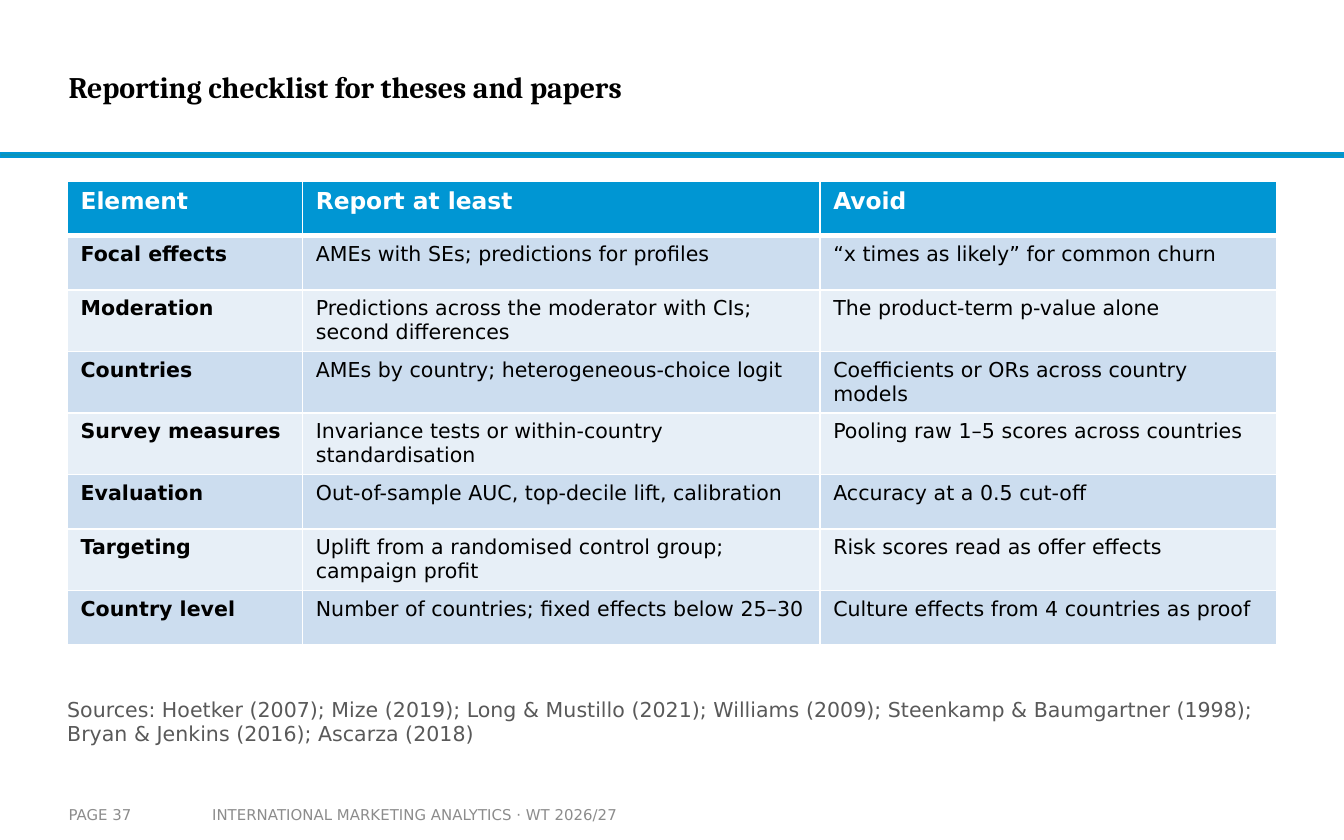
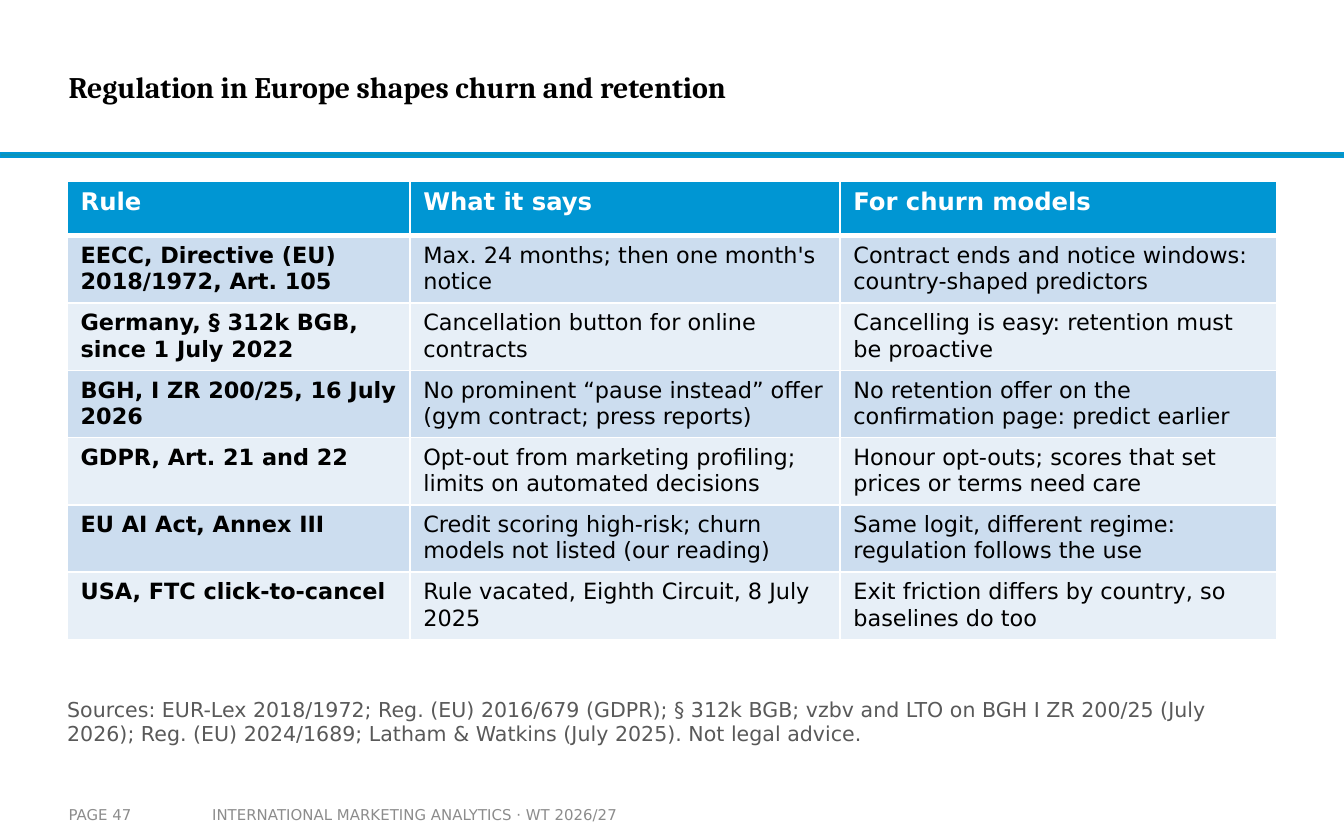
from dataclasses import dataclass

from lxml import etree
from pptx import Presentation
from pptx import util as u
from pptx.dml.color import RGBColor
from pptx.enum import shapes, text
from pptx.oxml.ns import qn

PX = u.Inches(1) // 100  # 100 px to the inch
SANS, SERIF = "DejaVu Sans", "Cambria"
WHITE, BLACK, ACCENT = "FFFFFF", "000000", "0096D3"
BAND_FILL, SOURCE_GREY, FOOTER_GREY = "0C94B7", "595959", "8C8C8C"
ROW_FILLS = ("CCDDEF", "E7EFF7")
COURSE = "INTERNATIONAL MARKETING ANALYTICS · WT 2026/27"


@dataclass(frozen=True)
class Style:
    size: float
    color: str
    face: str = SANS
    bold: bool = False


@dataclass(frozen=True)
class TextPart:
    box: tuple[int, int, int, int]
    style: Style
    anchor: text.MSO_ANCHOR
    side_margin: int = 0
    end_margin: int = 0


@dataclass(frozen=True)
class TableSlide:
    title: str
    page: int
    columns: tuple[int, ...]
    height: int
    header_size: float
    body_size: float
    rows: tuple[tuple[str, ...], ...]
    sources: str


TITLE = TextPart((51, 15, 748, 99), Style(16, BLACK, SERIF, True),
                 text.MSO_ANCHOR.MIDDLE)
COURSE_NAME = TextPart((148, 592, 352, 28), Style(8, FOOTER_GREY),
                       text.MSO_ANCHOR.MIDDLE, 10, 5)
PAGE = TextPart((51, 592, 98, 28), Style(8, FOOTER_GREY),
                text.MSO_ANCHOR.MIDDLE, 0, 5)
SOURCES = TextPart((50, 510, 900, 45), Style(11, SOURCE_GREY),
                   text.MSO_ANCHOR.BOTTOM)

SLIDES = (
    TableSlide(
        "Reporting checklist for theses and papers", 37,
        (175, 385, 340), 324, 12.5, 11,
        (
            ("Element", "Report at least", "Avoid"),
            ("Focal effects", "AMEs with SEs; predictions for profiles",
             "“x times as likely” for common churn"),
            ("Moderation",
             "Predictions across the moderator with CIs; second differences",
             "The product-term p-value alone"),
            ("Countries", "AMEs by country; heterogeneous-choice logit",
             "Coefficients or ORs across country models"),
            ("Survey measures",
             "Invariance tests or within-country standardisation",
             "Pooling raw 1–5 scores across countries"),
            ("Evaluation", "Out-of-sample AUC, top-decile lift, calibration",
             "Accuracy at a 0.5 cut-off"),
            ("Targeting",
             "Uplift from a randomised control group; campaign profit",
             "Risk scores read as offer effects"),
            ("Country level", "Number of countries; fixed effects below 25–30",
             "Culture effects from 4 countries as proof"),
        ),
        "Sources: Hoetker (2007); Mize (2019); Long & Mustillo (2021); "
        "Williams (2009); Steenkamp & Baumgartner (1998); "
        "Bryan & Jenkins (2016); Ascarza (2018)",
    ),
    TableSlide(
        "Regulation in Europe shapes churn and retention", 47,
        (255, 320, 325), 284, 13, 12,
        (
            ("Rule", "What it says", "For churn models"),
            ("EECC, Directive (EU) 2018/1972, Art. 105",
             "Max. 24 months; then one month's notice",
             "Contract ends and notice windows: country-shaped predictors"),
            ("Germany, § 312k BGB, since 1 July 2022",
             "Cancellation button for online contracts",
             "Cancelling is easy: retention must be proactive"),
            ("BGH, I ZR 200/25, 16 July 2026",
             "No prominent “pause instead” offer (gym contract; press reports)",
             "No retention offer on the confirmation page: predict earlier"),
            ("GDPR, Art. 21 and 22",
             "Opt-out from marketing profiling; limits on automated decisions",
             "Honour opt-outs; scores that set prices or terms need care"),
            ("EU AI Act, Annex III",
             "Credit scoring high-risk; churn models not listed (our reading)",
             "Same logit, different regime: regulation follows the use"),
            ("USA, FTC click-to-cancel",
             "Rule vacated, Eighth Circuit, 8 July 2025",
             "Exit friction differs by country, so baselines do too"),
        ),
        "Sources: EUR-Lex 2018/1972; Reg. (EU) 2016/679 (GDPR); § 312k BGB; "
        "vzbv and LTO on BGH I ZR 200/25 (July 2026); Reg. (EU) 2024/1689; "
        "Latham & Watkins (July 2025). Not legal advice.",
    ),
)


def px(*lengths: int) -> list[int]:
    return [length * PX for length in lengths]


def rgb(hex_color: str) -> RGBColor:
    return RGBColor.from_string(hex_color)


def apply(target, values: dict) -> None:
    for name, value in values.items():
        setattr(target, name, value)


def write(frame, words: str, style: Style) -> None:
    paragraph = frame.paragraphs[0]
    run = paragraph.add_run()
    run.text = words
    paragraph.alignment = text.PP_ALIGN.LEFT
    apply(run.font, {"name": style.face, "size": u.Pt(style.size),
                     "bold": style.bold})
    run.font.color.rgb = rgb(style.color)


def add_text(slide, part: TextPart, words: str) -> None:
    frame = slide.shapes.add_textbox(*px(*part.box)).text_frame
    side, end = px(part.side_margin, part.end_margin)
    apply(frame, {"word_wrap": True, "vertical_anchor": part.anchor,
                  "margin_left": side, "margin_right": side,
                  "margin_top": end, "margin_bottom": end})
    write(frame, words, part.style)


def add_band(slide) -> None:
    band = slide.shapes.add_shape(shapes.MSO_SHAPE.RECTANGLE,
                                  *px(0, 114, 1000, 3))
    band.shadow.inherit = False
    band.fill.solid()
    band.fill.fore_color.rgb = rgb(BAND_FILL)
    band.line.color.rgb = rgb(ACCENT)
    band.line.width = u.Pt(1)


def set_borders(cell, top: float, bottom: float) -> None:
    """Draw white cell borders; top and bottom are widths in points."""
    properties = cell._tc.get_or_add_tcPr()
    widths = {"a:lnL": 1, "a:lnR": 1, "a:lnT": top, "a:lnB": bottom}
    for place, (tag, width) in enumerate(widths.items()):
        line = etree.Element(qn(tag), w=str(u.Pt(width)))
        fill = etree.SubElement(line, qn("a:solidFill"))
        etree.SubElement(fill, qn("a:srgbClr"), val=WHITE)
        properties.insert(place, line)


def add_grid(slide, content: TableSlide) -> None:
    table = slide.shapes.add_table(
        len(content.rows), len(content.columns),
        *px(50, 135, sum(content.columns), content.height)).table
    apply(table, {"first_row": False, "horz_banding": False})
    for column, width in zip(table.columns, px(*content.columns)):
        column.width = width
    for r, row in enumerate(content.rows):
        header = r == 0
        for c, words in enumerate(row):
            cell = table.cell(r, c)
            cell.fill.solid()
            cell.fill.fore_color.rgb = rgb(
                ACCENT if header else ROW_FILLS[(r - 1) % 2])
            set_borders(cell, 3 if r == 1 else 1, 3 if header else 1)
            style = (Style(content.header_size, WHITE, bold=True) if header
                     else Style(content.body_size, BLACK, bold=c == 0))
            write(cell.text_frame, words, style)


def main() -> None:
    deck = Presentation()
    deck.slide_width, deck.slide_height = px(1000, 625)
    for content in SLIDES:
        slide = deck.slides.add_slide(deck.slide_layouts[6])
        add_band(slide)
        add_grid(slide, content)
        add_text(slide, TITLE, content.title)
        add_text(slide, COURSE_NAME, COURSE)
        add_text(slide, PAGE, f"PAGE {content.page}")
        add_text(slide, SOURCES, content.sources)
    deck.save("out.pptx")


if __name__ == "__main__":
    main()
